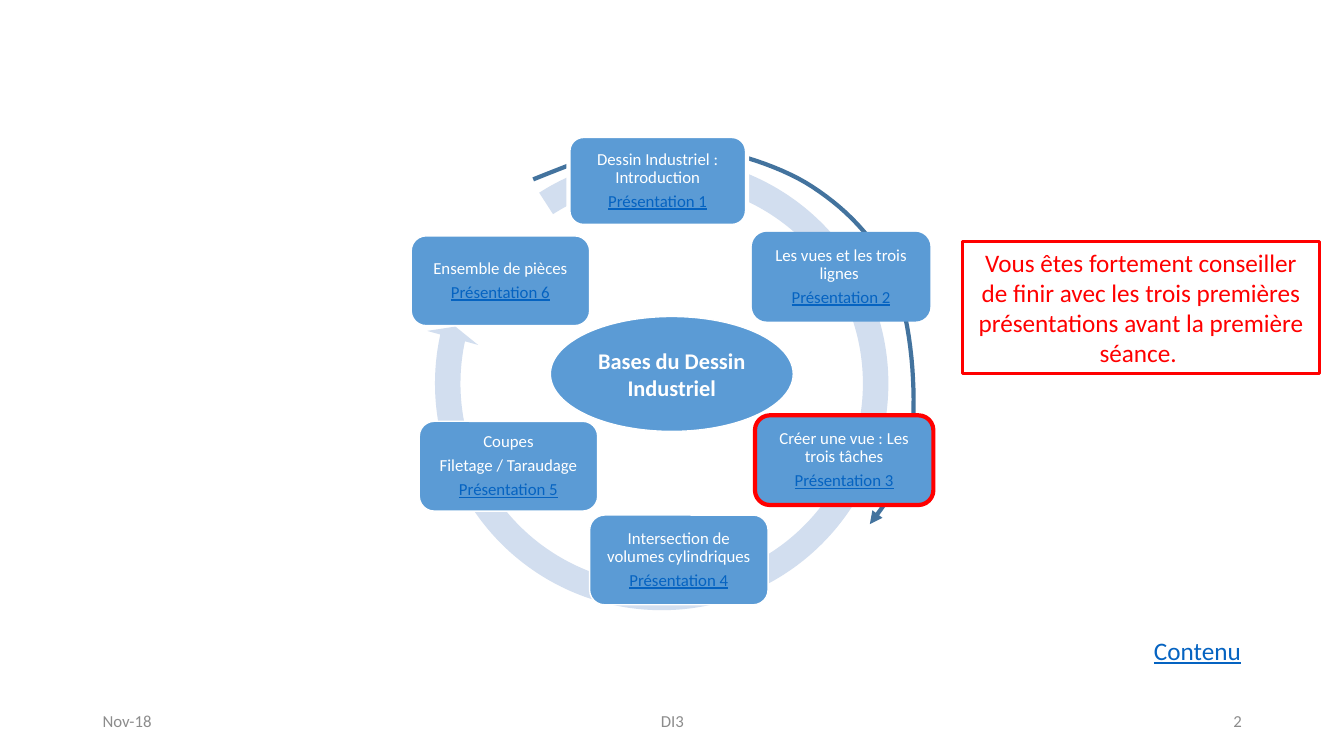
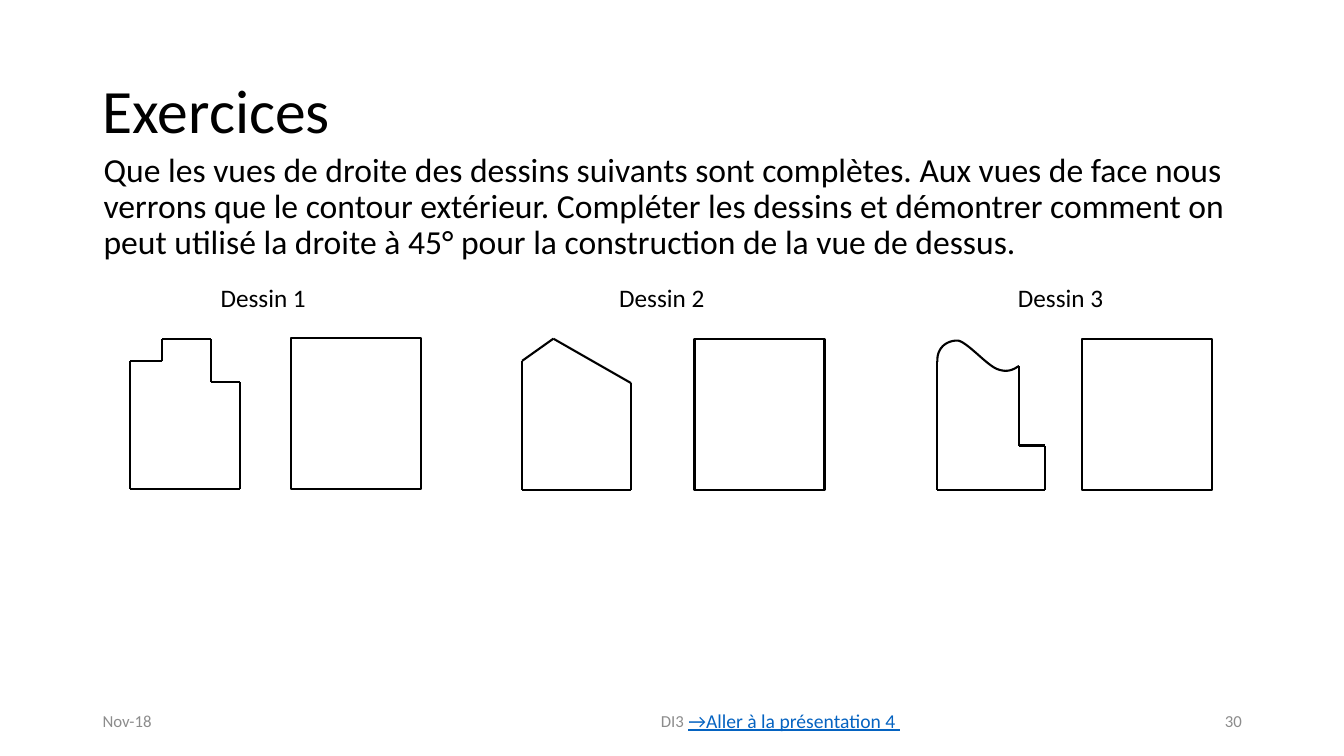
from itertools import pairwise
from pptx import Presentation
from pptx.dml.color import RGBColor
from pptx.enum.shapes import MSO_CONNECTOR, MSO_SHAPE
from pptx.enum.text import MSO_ANCHOR, MSO_AUTO_SIZE, PP_ALIGN
from pptx.oxml.ns import qn
from pptx.util import Inches, Pt
from lxml import etree

FONT = "Calibri"
BLUE, RING, ARC = "5B9BD5", "D2DEEF", "43739E"
LINK, RED, GREY = "0563C1", "FF0000", "8C8C8C"
BLACK, WHITE = "000000", "FFFFFF"
LEFT, CENTER, RIGHT = PP_ALIGN.LEFT, PP_ALIGN.CENTER, PP_ALIGN.RIGHT
TOP, MIDDLE = MSO_ANCHOR.TOP, MSO_ANCHOR.MIDDLE


def rgb(color):
    return RGBColor.from_string(color)


def paint(sp, fill=None, line=None, width=1):
    sp.shadow.inherit = False
    if fill:
        sp.fill.solid()
        sp.fill.fore_color.rgb = rgb(fill)
    else:
        sp.fill.background()
    if line:
        sp.line.color.rgb = rgb(line)
        sp.line.width = Pt(width)
    else:
        sp.line.fill.background()


def write(sp, lines, size, color, align=LEFT, anchor=TOP, bold=False,
          spacing=None, before=None, after=None):
    tf = sp.text_frame
    tf.word_wrap = True
    tf.auto_size = MSO_AUTO_SIZE.NONE
    tf.vertical_anchor = anchor
    tf.text = "\n".join(lines)
    for p in tf.paragraphs:
        p.alignment = align
        p.line_spacing = spacing
        p.space_before = before
        p.space_after = after
        for r in p.runs:
            r.font.name, r.font.size, r.font.bold = FONT, Pt(size), bold
            r.font.color.rgb = rgb(color)
    return tf


def link_style(p):
    for r in p.runs:
        r.font.underline = True
        r.font.color.rgb = rgb(LINK)


def add_text(s, box, text, size, color, **style):
    sp = s.shapes.add_textbox(*map(Inches, box))
    return write(sp, [text], size, color, **style)


def add_preset(s, kind, box, fill=None, line=None, width=1):
    sp = s.shapes.add_shape(kind, *map(Inches, box))
    paint(sp, fill, line, width)
    return sp


def add_curve(s, start, segments, color, width, steps=16):
    points = [start]
    for a, b, end in segments:
        start = points[-1]
        for i in range(1, steps + 1):
            t = i / steps
            weights = ((1 - t) ** 3, 3 * t * (1 - t) ** 2, 3 * t * t * (1 - t), t ** 3)
            points.append(tuple(sum(w * q[k] for w, q in zip(weights, (start, a, b, end)))
                                for k in (0, 1)))
    points = [(Inches(x), Inches(y)) for x, y in points]
    fb = s.shapes.build_freeform(*points[0])
    fb.add_line_segments(points[1:], close=False)
    sp = fb.convert_to_shape()
    paint(sp, None, color, width)
    return sp


def add_edges(s, points, left, top):
    points = [(Inches(left + x), Inches(top + y)) for x, y in points]
    for start, end in pairwise(points):
        edge = s.shapes.add_connector(MSO_CONNECTOR.STRAIGHT, *start, *end)
        edge.line.color.rgb = rgb(BLACK)
        edge.line.width = Pt(1.5)
        etree.SubElement(edge._element.spPr, qn("a:effectLst"))


def add_footer(s, number):
    for left, width, text, align in ((0.92, 3, "Nov-18", LEFT), (4.42, 4.5, "DI3", CENTER),
                                     (9.42, 3, str(number), RIGHT)):
        add_text(s, (left, 6.95, width, 0.4), text, 12, GREY, align=align, anchor=MIDDLE)


def add_progress_arc(s):
    arc = add_curve(s, (5.29, 1.78), (
        ((5.72, 1.61), (6.14, 1.43), (6.59, 1.43)),
        ((7.05, 1.44), (7.61, 1.59), (7.99, 1.81)),
        ((8.37, 2.04), (8.7, 2.37), (8.87, 2.78)),
        ((9.05, 3.2), (9.09, 3.9), (9.05, 4.31)),
        ((9, 4.71), (8.82, 4.95), (8.63, 5.2))), ARC, 3)
    ln = arc.line._get_or_add_ln()
    etree.SubElement(ln, qn("a:tailEnd"), type="triangle")


def add_ring(s, box):
    ring = add_preset(s, MSO_SHAPE.CIRCULAR_ARROW, box, RING)
    tip, end, start = (angle * 0.6 for angle in (3.13, 192.3, 237.3))
    for i, value in enumerate((0.053, tip, end, start, 0.055)):
        ring.adjustments[i] = value


def add_step(s, left, top, lines, line=WHITE, width=1):
    sp = add_preset(s, MSO_SHAPE.ROUNDED_RECTANGLE, (left, top, 1.77, 0.89), BLUE, line, width)
    tf = write(sp, lines, 12, WHITE, align=CENTER, anchor=MIDDLE, spacing=0.9, after=Pt(4.2))
    tf.margin_left = tf.margin_right = tf.margin_top = tf.margin_bottom = Inches(0.05)
    link_style(tf.paragraphs[-1])


def add_cycle_slide(prs):
    s = prs.slides.add_slide(prs.slide_layouts[6])
    hub = add_preset(s, MSO_SHAPE.OVAL, (5.46, 3.14, 2.41, 1.14), BLUE, WHITE)
    write(hub, ["Bases du Dessin Industriel"], 16, WHITE, align=CENTER, anchor=MIDDLE, bold=True)
    add_progress_arc(s)
    add_ring(s, (4.18, 1.42, 4.77, 4.77))
    steps = (
        (5.64, 1.35, ["Dessin Industriel : Introduction"], WHITE, 3),
        (7.46, 2.3, ["Les vues et les trois lignes "], None, 1),
        (7.49, 4.12, ["Créer une vue : Les trois tâches"], RED, 3),
        (5.85, 5.11, ["Intersection de volumes cylindriques"], WHITE, 1),
        (4.16, 4.18, ["Coupes", "Filetage / Taraudage"], WHITE, 1),
        (4.08, 2.34, ["Ensemble de pièces"], WHITE, 1),
    )
    for n, (left, top, topics, line, width) in enumerate(steps, 1):
        add_step(s, left, top, topics + [f"Présentation {n}"], line, width)
    advice = add_preset(s, MSO_SHAPE.RECTANGLE, (9.55, 2.4, 3.54, 1.31), None, RED, 2.25)
    write(advice, ["Vous êtes fortement conseiller de finir avec les trois premières "
                   "présentations avant la première séance. "], 18, RED, align=CENTER)
    link_style(add_text(s, (11.35, 6.25, 1.23, 0.4), "Contenu", 18, LINK).paragraphs[0])
    add_footer(s, 2)


def add_drawing(s, number, left, top, face, side_left):
    add_text(s, (2.09 + 3.955 * (number - 1), 2.75, 1.35, 0.4), f"Dessin {number}", 18, BLACK)
    add_edges(s, face, left, top)
    add_preset(s, MSO_SHAPE.RECTANGLE, (side_left, top, 1.29, 1.5), None, BLACK, 1.5)


def add_exercise_slide(prs):
    s = prs.slides.add_slide(prs.slide_layouts[5])
    title = s.shapes.title
    title.left, title.top, title.width, title.height = map(Inches, (0.92, 0.4, 11.5, 1.45))
    write(title, ["Exercices"], 44, BLACK, anchor=MIDDLE, spacing=0.9)
    add_text(s, (0.93, 1.47, 11.5, 4.76),
             "Que les vues de droite des dessins suivants sont complètes. Aux vues de face nous "
             "verrons que le contour extérieur. Compléter les dessins et démontrer comment on "
             "peut utilisé la droite à 45° pour la construction de la vue de dessus.",
             24, BLACK, spacing=0.9, before=Pt(10))
    stepped = [(0, 1.5), (1.09, 1.5), (1.09, 0.44), (0.8, 0.44), (0.8, 0.01),
               (0.32, 0.01), (0.32, 0.23), (0, 0.23), (0, 1.5)]
    gabled = [(0, 1.5), (1.08, 1.5), (1.08, 0.44), (0.31, 0), (0, 0.22), (0, 1.5)]
    notched = [(0, 0.22), (0, 1.5), (1.07, 1.5), (1.07, 1.06), (0.81, 1.06), (0.81, 0.27)]
    add_drawing(s, 1, 1.29, 3.35, stepped, 2.89)
    add_drawing(s, 2, 5.18, 3.36, gabled, 6.89)
    add_drawing(s, 3, 9.3, 3.36, notched, 10.73)
    add_curve(s, (9.3, 3.59), (
        ((9.29, 3.44), (9.41, 3.37), (9.51, 3.38)),
        ((9.6, 3.4), (9.79, 3.62), (9.89, 3.66)),
        ((9.99, 3.7), (10.05, 3.67), (10.11, 3.63))), BLACK, 1.5)
    add_footer(s, 30)
    link = add_text(s, (6.73, 6.98, 2.71, 0.34), "→Aller à la présentation 4 ", 14, LINK)
    link_style(link.paragraphs[0])


prs = Presentation()
prs.slide_width, prs.slide_height = Inches(40 / 3), Inches(7.5)
add_cycle_slide(prs)
add_exercise_slide(prs)
prs.save("out.pptx")
